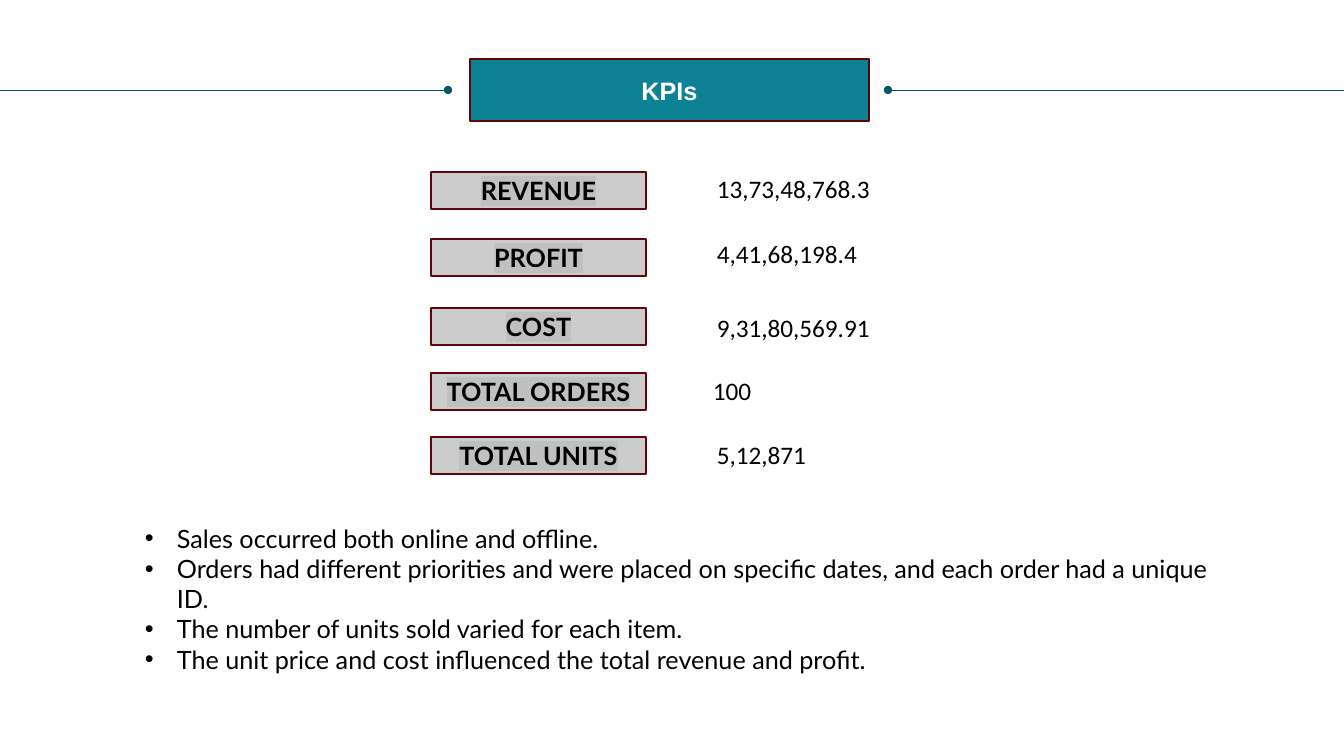
import pptx
import pptx.util
from lxml import etree
from pptx.dml.color import RGBColor
from pptx.enum.shapes import MSO_CONNECTOR, MSO_SHAPE
from pptx.enum.text import MSO_ANCHOR, MSO_AUTO_SIZE, PP_ALIGN
from pptx.oxml.ns import qn

PX = 12192000 / 1344
TEAL = RGBColor(0x0D, 0x82, 0x95)
DARK_TEAL = RGBColor(0x08, 0x57, 0x64)
MAROON = RGBColor(0x63, 0x03, 0x08)
GREY = RGBColor(0xCC, 0xCC, 0xCC)
HIGHLIGHT = RGBColor(0xC0, 0xC0, 0xC0)
WHITE = RGBColor(0xFF, 0xFF, 0xFF)
BLACK = RGBColor(0, 0, 0)


def px(*lengths):
    """Turn pixel lengths into EMU."""
    return [pptx.util.Emu(round(length * PX)) for length in lengths]


def style_text(para, font_name, color, bold=False):
    para.font.name = font_name
    para.font.size = pptx.util.Pt(18)
    para.font.bold = bold
    para.font.color.rgb = color


deck = pptx.Presentation()
deck.slide_width, deck.slide_height = px(1344, 756)
page = deck.slides.add_slide(deck.slide_layouts[5])

# Title with a dotted line on each side
title = page.shapes.title
title.left, title.top, title.width, title.height = px(470, 59, 399, 62)
title.fill.solid()
title.fill.fore_color.rgb = TEAL
title.line.color.rgb = MAROON
title.line.width = pptx.util.Pt(1)
title.text_frame.text = "KPIs"
title.text_frame.vertical_anchor = MSO_ANCHOR.MIDDLE
title.text_frame.paragraphs[0].alignment = PP_ALIGN.CENTER
style_text(title.text_frame.paragraphs[0], "Arial", WHITE, bold=True)

for dot_x, edge_x in ((448, 0), (888, 1344)):
    rule = page.shapes.add_connector(
        MSO_CONNECTOR.STRAIGHT, *px(dot_x, 90, edge_x, 90))
    rule.line.color.rgb = DARK_TEAL
    rule.line.width = pptx.util.Pt(0.5)
    etree.SubElement(rule.line._get_or_add_ln(), qn("a:headEnd"), type="oval")
    etree.SubElement(rule._element.spPr, qn("a:effectLst"))

# One row per KPI: label, label top, value, value left, value top
kpis = [
    ("REVENUE", 172, "13,73,48,768.3", 707, 168),
    ("PROFIT", 239, "4,41,68,198.4", 707, 233),
    ("COST", 308, "9,31,80,569.91", 707, 307),
    ("TOTAL ORDERS", 373, "100", 703, 370),
    ("TOTAL UNITS", 437, "5,12,871", 707, 434),
]
for label, label_top, value, value_left, value_top in kpis:
    box = page.shapes.add_shape(
        MSO_SHAPE.RECTANGLE, *px(431, label_top, 215, 37))
    box.shadow.inherit = False
    box.fill.solid()
    box.fill.fore_color.rgb = GREY
    box.line.color.rgb = MAROON
    box.line.width = pptx.util.Pt(1)
    box.text_frame.vertical_anchor = MSO_ANCHOR.MIDDLE
    para = box.text_frame.paragraphs[0]
    para.alignment = PP_ALIGN.CENTER
    style_text(para, "Lato", BLACK, bold=True)
    span = para.add_run()
    span.text = label
    marker = etree.SubElement(span._r.get_or_add_rPr(), qn("a:highlight"))
    etree.SubElement(marker, qn("a:srgbClr"), val=str(HIGHLIGHT))

    value_box = page.shapes.add_textbox(*px(value_left, value_top, 205, 40))
    value_box.text_frame.word_wrap = True
    value_box.text_frame.auto_size = MSO_AUTO_SIZE.SHAPE_TO_FIT_TEXT
    value_box.text_frame.text = value
    style_text(value_box.text_frame.paragraphs[0], "Calibri", BLACK)

# Findings
findings = [
    "Sales occurred both online and offline.",
    "Orders had different priorities and were placed on specific dates, "
    "and each order had a unique ID.",
    "The number of units sold varied for each item.",
    "The unit price and cost influenced the total revenue and profit.",
]
notes_box = page.shapes.add_textbox(*px(135, 518, 1113, 132))
notes_box.text_frame.word_wrap = True
notes_box.text_frame.auto_size = MSO_AUTO_SIZE.SHAPE_TO_FIT_TEXT
notes_box.text_frame.text = "\n".join(findings)
indent = px(32)[0]
for para in notes_box.text_frame.paragraphs:
    style_text(para, "Lato", BLACK)
    properties = para._p.get_or_add_pPr()
    properties.set("marL", str(indent))
    properties.set("indent", str(-indent))
    bullet_font = etree.Element(qn("a:buFont"), typeface="Arial")
    bullet = etree.Element(qn("a:buChar"), char="•")
    properties.insert(0, bullet_font)
    properties.insert(1, bullet)

deck.save("out.pptx")
